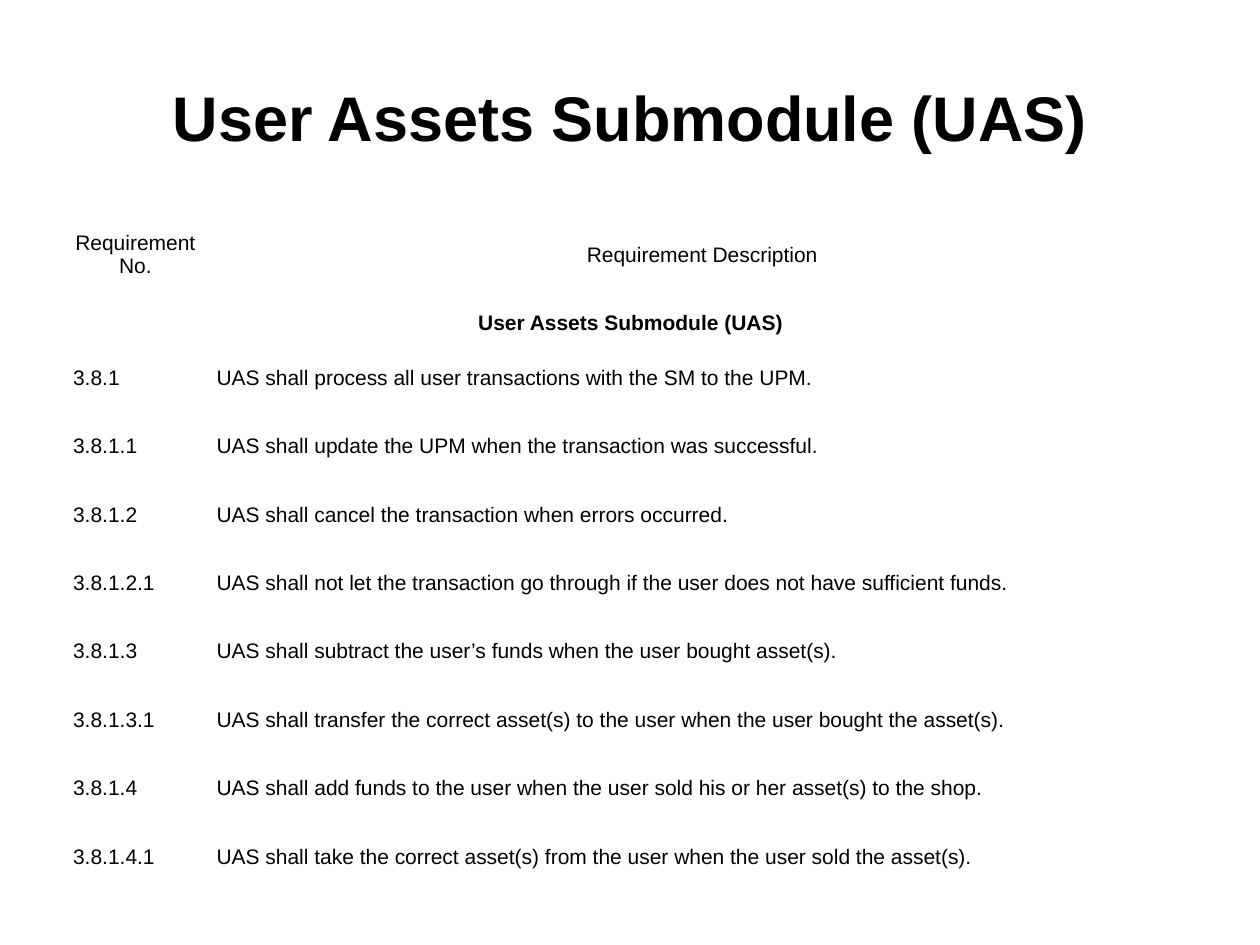
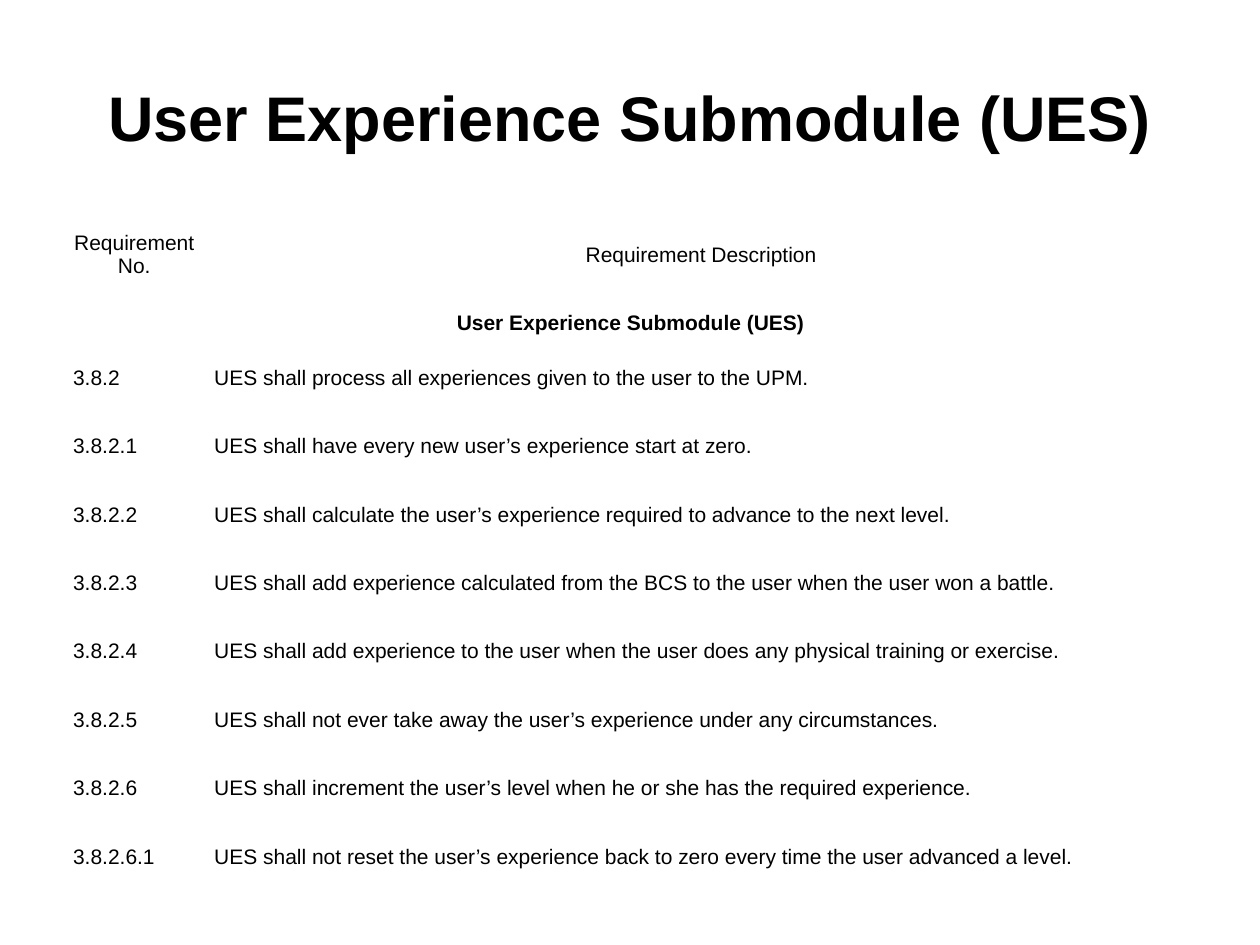
from pptx import Presentation
from pptx.dml.color import RGBColor
from pptx.enum.text import MSO_ANCHOR, MSO_AUTO_SIZE, PP_ALIGN
from pptx.util import Pt

# Shared style
FONT = "Arial"
BLACK = "000000"
LEFT, WIDTH = 36, 648
TITLE_TOP, TITLE_HEIGHT = 21.6, 90
TABLE_TOP, ROW_HEIGHT = 126, 39.1
TITLE_INSET, CELL_INSET, CELL_LEFT_INSET = 7.2, 5.04, 5.76
HEADINGS = ("Requirement No.", "Requirement Description")

# Content: title (repeated as the section row), number column width, requirements
submodules = [
    ("User Assets Submodule (UAS)", 82, [
        ("3.8.1", "UAS shall process all user transactions with the SM to the UPM."),
        ("3.8.1.1", "UAS shall update the UPM when the transaction was successful."),
        ("3.8.1.2", "UAS shall cancel the transaction when errors occurred."),
        ("3.8.1.2.1", "UAS shall not let the transaction go through if the user does not have sufficient funds."),
        ("3.8.1.3", "UAS shall subtract the user’s funds when the user bought asset(s)."),
        ("3.8.1.3.1", "UAS shall transfer the correct asset(s) to the user when the user bought the asset(s)."),
        ("3.8.1.4", "UAS shall add funds to the user when the user sold his or her asset(s) to the shop."),
        ("3.8.1.4.1", "UAS shall take the correct asset(s) from the user when the user sold the asset(s)."),
    ]),
    ("User Experience Submodule (UES)", 80.7, [
        ("3.8.2", "UES shall process all experiences given to the user to the UPM."),
        ("3.8.2.1", "UES shall have every new user’s experience start at zero."),
        ("3.8.2.2", "UES shall calculate the user’s experience required to advance to the next level."),
        ("3.8.2.3", "UES shall add experience calculated from the BCS to the user when the user won a battle."),
        ("3.8.2.4", "UES shall add experience to the user when the user does any physical training or exercise."),
        ("3.8.2.5", "UES shall not ever take away the user’s experience under any circumstances."),
        ("3.8.2.6", "UES shall increment the user’s level when he or she has the required experience."),
        ("3.8.2.6.1", "UES shall not reset the user’s experience back to zero every time the user advanced a level."),
    ]),
]


def color(hex_code):
    return RGBColor.from_string(hex_code)


def style_text(paragraph, size, bold, align):
    paragraph.alignment = align
    paragraph.font.name = FONT
    paragraph.font.size = Pt(size)
    paragraph.font.bold = bold
    paragraph.font.color.rgb = color(BLACK)


presentation = Presentation()
presentation.slide_width = Pt(720)
presentation.slide_height = Pt(540)
title_only = presentation.slide_layouts[5]

for name, number_width, requirements in submodules:
    slide = presentation.slides.add_slide(title_only)

    # Title
    title = slide.shapes.title
    title.left, title.top = Pt(LEFT), Pt(TITLE_TOP)
    title.width, title.height = Pt(WIDTH), Pt(TITLE_HEIGHT)
    heading = title.text_frame
    heading.text = name
    heading.word_wrap = True
    heading.auto_size = MSO_AUTO_SIZE.NONE
    heading.vertical_anchor = MSO_ANCHOR.MIDDLE
    heading.margin_left = heading.margin_right = Pt(TITLE_INSET)
    heading.margin_top = heading.margin_bottom = Pt(TITLE_INSET)
    style_text(heading.paragraphs[0], 36, True, PP_ALIGN.CENTER)

    # Requirements table
    rows = [HEADINGS, (name, ""), *requirements]
    table = slide.shapes.add_table(
        len(rows), 2, Pt(LEFT), Pt(TABLE_TOP), Pt(WIDTH), Pt(ROW_HEIGHT * len(rows))
    ).table
    table.first_row = table.horz_banding = False
    table.columns[0].width = Pt(number_width)
    table.columns[1].width = Pt(WIDTH - number_width)
    table.cell(1, 0).merge(table.cell(1, 1))

    for row_index, entries in enumerate(rows):
        table.rows[row_index].height = Pt(ROW_HEIGHT)
        is_heading = row_index < 2
        for column_index, entry in enumerate(entries):
            cell = table.cell(row_index, column_index)
            cell.fill.background()
            if cell.is_spanned:
                continue
            cell.text = entry
            cell.margin_left = Pt(CELL_LEFT_INSET)
            cell.margin_right = cell.margin_top = cell.margin_bottom = Pt(CELL_INSET)
            cell.vertical_anchor = MSO_ANCHOR.MIDDLE if is_heading else MSO_ANCHOR.TOP
            style_text(cell.text_frame.paragraphs[0], 12, row_index == 1,
                       PP_ALIGN.CENTER if is_heading else PP_ALIGN.LEFT)

presentation.save("out.pptx")
